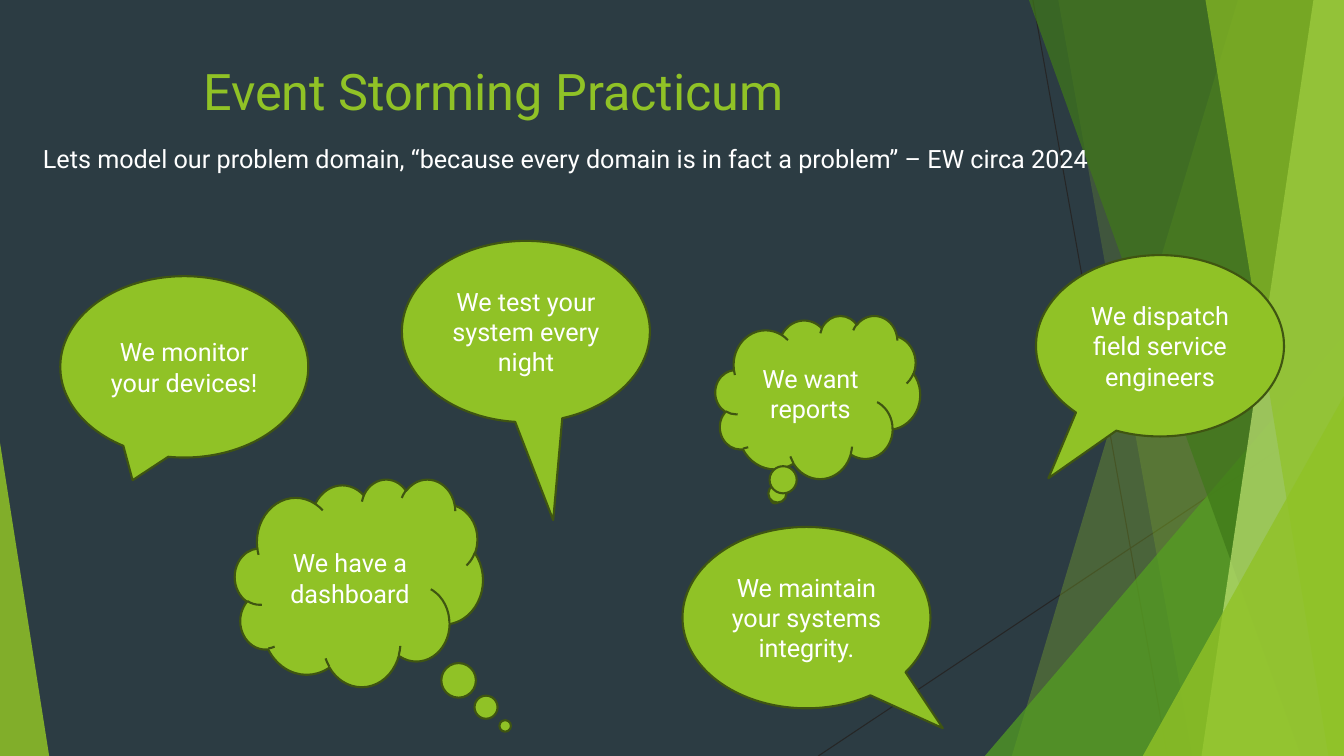
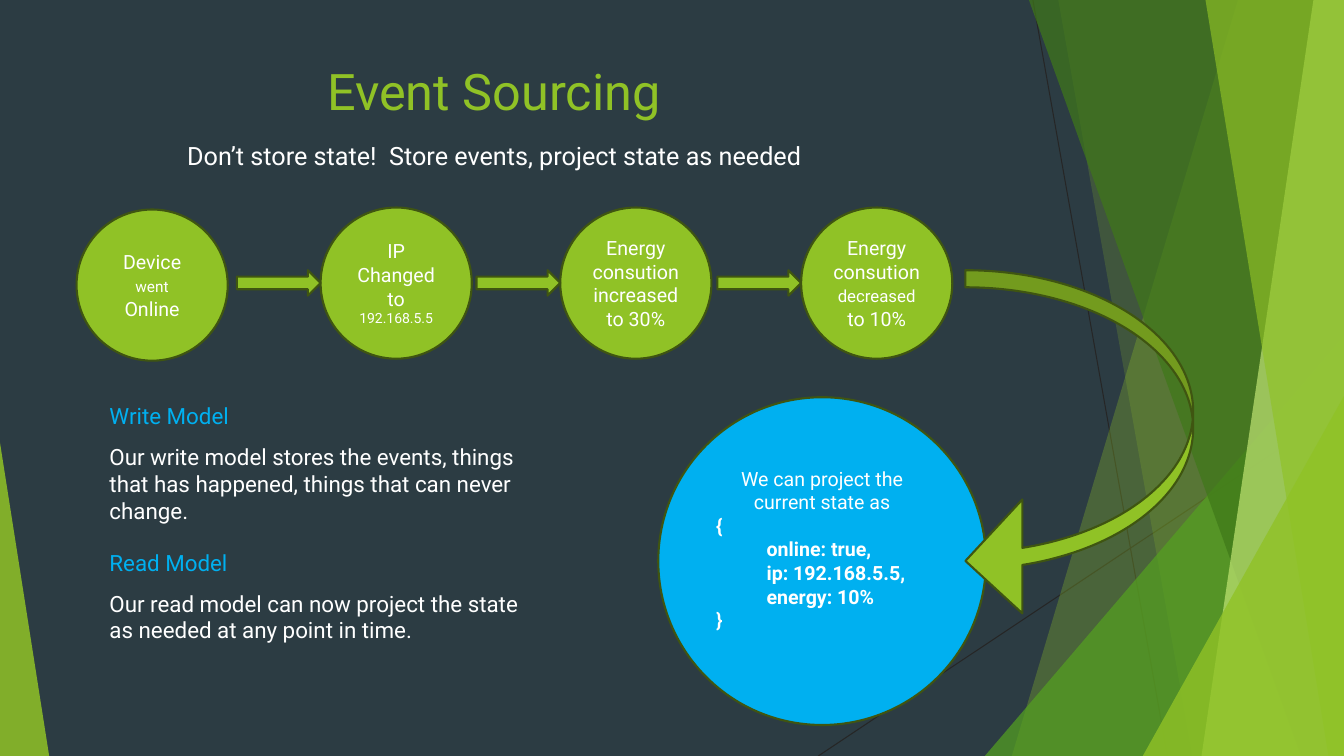
"""Build two slides on event storming and event sourcing."""
from dataclasses import dataclass

from lxml.etree import SubElement
from pptx import Presentation
from pptx.dml.color import RGBColor
from pptx.enum.shapes import MSO_CONNECTOR, MSO_SHAPE as Preset
from pptx.enum.text import MSO_ANCHOR as Anchor, PP_ALIGN as Align
from pptx.oxml.ns import qn
from pptx.util import Cm, Pt


@dataclass(frozen=True)
class Theme:
    """Colours, type sizes and line widths of the deck."""
    font: str = "Roboto"
    night: str = "2C3C43"
    ink: str = "262626"
    white: str = "FFFFFF"
    lime: str = "90C226"
    pale: str = "C0E474"
    leaf: str = "54A021"
    forest: str = "3F7819"
    edge: str = "3F5511"
    sky: str = "00B0F0"
    title: int = 36
    body: int = 18
    model: int = 16
    event: int = 14
    medium: int = 12
    small: int = 11
    tiny: int = 10
    outline: float = 1.5
    hairline: float = 0.75


THEME = Theme()
WIDTH, HEIGHT = 33.87, 19.05
TITLE_WIDTH = 24.89
BUBBLE = (6.25, 4.57)
CIRCLE = 3.81
ARROW = (2.11, 0.64)
STATE_CIRCLE = 8.26


@dataclass(frozen=True)
class Span:
    """A stretch of text in one style."""
    text: str
    size: int = THEME.body
    color: str = THEME.white
    bold: bool = False


@dataclass(frozen=True)
class Para:
    """A paragraph of spans with its layout."""
    spans: tuple
    align: Align = Align.CENTER
    before: float = 0
    indent: float = 0


def rgb(color):
    """Turn a hex string into a colour."""
    return RGBColor.from_string(color)


def write(box, paras, anchor=Anchor.MIDDLE):
    """Fill the text frame of a box, run by run."""
    frame = box.text_frame
    frame.word_wrap = True
    frame.vertical_anchor = anchor
    for index, content in enumerate(paras):
        para = frame.add_paragraph() if index else frame.paragraphs[0]
        para.alignment = content.align
        para.space_before = Pt(content.before)
        if content.indent:
            para._p.get_or_add_pPr().set("marL", str(Cm(content.indent)))
        for span in content.spans:
            run = para.add_run()
            run.text = span.text
            run.font.name = THEME.font
            run.font.size = Pt(span.size)
            run.font.bold = span.bold
            run.font.color.rgb = rgb(span.color)


def add_text(page, left, top, width, height, paras, anchor=Anchor.TOP):
    """Add a text box."""
    box = page.shapes.add_textbox(Cm(left), Cm(top), Cm(width), Cm(height))
    write(box, paras, anchor)


def add_figure(page, preset, left, top, width, height, paras=(),
               color=THEME.lime, adjust=()):
    """Add an outlined preset shape with optional text."""
    shape = page.shapes.add_shape(
        preset, Cm(left), Cm(top), Cm(width), Cm(height))
    shape.shadow.inherit = False
    shape.fill.solid()
    shape.fill.fore_color.rgb = rgb(color)
    shape.line.color.rgb = rgb(THEME.edge)
    shape.line.width = Pt(THEME.outline)
    for index, value in enumerate(adjust):
        shape.adjustments[index] = value
    write(shape, paras)
    return shape


def tint(shape, color, opacity):
    """Give a shape a see-through fill and no outline."""
    shape.shadow.inherit = False
    shape.line.fill.background()
    shape.fill.solid()
    shape.fill.fore_color.rgb = rgb(color)
    swatch = shape.element.spPr.find(qn("a:solidFill"))[0]
    SubElement(swatch, qn("a:alpha")).set("val", str(opacity * 1000))


def add_hairline(page, x1, y1, x2, y2):
    """Add a thin dark line."""
    line = page.shapes.add_connector(
        MSO_CONNECTOR.STRAIGHT, Cm(x1), Cm(y1), Cm(x2), Cm(y2))
    line.line.color.rgb = rgb(THEME.ink)
    line.line.width = Pt(THEME.hairline)
    SubElement(line.element.spPr, qn("a:effectLst"))


def add_band(page, top_x, bottom_x, color, opacity):
    """Add a full-height band with a slanted left side, out to the right edge."""
    builder = page.shapes.build_freeform(Cm(top_x), 0, scale=1.0)
    corners = [(WIDTH, 0), (WIDTH, HEIGHT), (bottom_x, HEIGHT)]
    builder.add_line_segments([(Cm(x), Cm(y)) for x, y in corners], close=True)
    tint(builder.convert_to_shape(), color, opacity)


def add_wedge(page, left, right, top, apex, color, opacity):
    """Add a right triangle that stands on the bottom edge."""
    shape = page.shapes.add_shape(
        Preset.ISOSCELES_TRIANGLE,
        Cm(left), Cm(top), Cm(right - left), Cm(HEIGHT - top))
    shape.adjustments[0] = apex
    tint(shape, color, opacity)


def add_backdrop(page):
    """Draw the background and facets that every slide shares."""
    page.background.fill.solid()
    page.background.fill.fore_color.rgb = rgb(THEME.night)
    add_hairline(page, 26.03, 0, 29.42, HEIGHT)
    add_hairline(page, WIDTH, 10.23, 20.62, HEIGHT)
    add_band(page, 31.2, 25.5, THEME.lime, 30)
    add_band(page, 26.67, 30.05, THEME.lime, 20)
    add_wedge(page, 24.82, WIDTH, 8.46, 1, THEME.leaf, 72)
    add_band(page, 25.93, 32.79, THEME.forest, 70)
    add_band(page, 33.1, 30.28, THEME.pale, 70)
    add_band(page, 30.38, 33.48, THEME.lime, 65)
    add_wedge(page, 28.8, WIDTH, 9.98, 1, THEME.lime, 80)
    add_wedge(page, 0, 1.24, 11.15, 0, THEME.lime, 85)


def add_page(deck, title):
    """Add a blank slide with the backdrop and a title."""
    page = deck.slides.add_slide(deck.slide_layouts[6])
    add_backdrop(page)
    heading = Para((Span(title, THEME.title, THEME.lime),))
    add_text(page, 0, 0, TITLE_WIDTH, 3.17, [heading], Anchor.BOTTOM)
    return page


def add_subtitle(page, left, top, width, text):
    """Add the centred line under the title."""
    add_text(page, left, top, width, 1.5, [Para((Span(text),), before=10)])


def add_practicum(deck):
    """Build the slide of speech and thought bubbles."""
    page = add_page(deck, "Event Storming Practicum")
    add_subtitle(page, 0, 3.48, 28.52,
                 "Lets model our problem domain, “because every domain "
                 "is in fact a problem” – EW circa 2024")
    cloud, speech = Preset.CLOUD_CALLOUT, Preset.OVAL_CALLOUT
    bubbles = [
        (cloud, 18.03, 7.95, (5.16, 4.11), (), "We want reports"),
        (speech, 1.52, 6.96, BUBBLE, (), "We monitor your devices!"),
        (speech, 17.2, 13.28, BUBBLE, (0.55, 0.61),
         "We maintain your systems integrity."),
        (speech, 26.11, 6.43, BUBBLE, (-0.45, 0.73),
         "We dispatch field service engineers"),
        (speech, 10.13, 6.07, BUBBLE, (0.11, 1.04),
         "We test your system every night"),
        (cloud, 5.92, 12.07, (6.25, 5.23), (0.59, 0.69),
         "We have a dashboard"),
    ]
    for preset, left, top, size, tail, text in bubbles:
        add_figure(page, preset, left, top, *size, [Para((Span(text),))],
                   adjust=tail)


def add_events(page):
    """Draw the chain of event circles joined by arrows."""
    size = THEME.event
    events = [
        (1.93, 5.33 - 0.05, [("Device ", size), ("went", THEME.small),
                             (" Online", size)]),
        (8.08, 5.23, [("IP Changed to ", size), ("192.168.5.5", THEME.tiny)]),
        (14.12, 5.23, [("Energy consution increased to 30%", size)]),
        (20.19, 5.23, [("Energy consution ", size),
                       ("decreased", THEME.medium), (" to 10%", size)]),
    ]
    for index, (left, top, parts) in enumerate(events):
        spans = tuple(Span(*part) for part in parts)
        add_figure(page, Preset.OVAL, left, top, CIRCLE, CIRCLE, [Para(spans)])
        if index:
            add_figure(page, Preset.RIGHT_ARROW, left - ARROW[0], 6.81, *ARROW)


def add_state(page):
    """Draw the projected state and the arrow that leads to it."""
    size = THEME.event
    code = [("{", 0), ("online: true,", 1.27), ("ip: 192.168.5.5,", 1.27),
            ("energy: 10%", 1.27), ("}", 0)]
    paras = [Para((Span("We can project the current state as", size),))]
    paras += [Para((Span(text, size, bold=True),), Align.LEFT, indent=indent)
              for text, indent in code]
    circle = add_figure(page, Preset.OVAL, 16.59, 10.01,
                        STATE_CIRCLE, STATE_CIRCLE, paras, THEME.sky)
    circle.text_frame.margin_bottom = Cm(0.73)
    add_figure(page, Preset.CURVED_LEFT_ARROW, 24.33, 6.81, 5.74, 8.76,
               adjust=(0.075, 0.5, 0.25))


def add_models(page):
    """Write the notes on the write and read models."""
    models = [
        ("Write Model", 10, "Our write model stores the events, things that "
         "has happened, things that can never change."),
        ("Read Model", 18, "Our read model can now project the state as "
         "needed at any point in time."),
    ]
    paras = []
    for name, gap, text in models:
        paras += [
            Para((Span(name, THEME.model, THEME.sky),), Align.LEFT, gap),
            Para((Span(text, THEME.model),), Align.LEFT, 10),
        ]
    add_text(page, 2.51, 10.01, 11.1, 7.9, paras)


def add_sourcing(deck):
    """Build the slide on events, models and projected state."""
    page = add_page(deck, "Event Sourcing")
    add_subtitle(page, 3.94, 3.4, 17.04,
                 "Don’t store state!  Store events, project state as needed")
    add_events(page)
    add_state(page)
    add_models(page)


def main():
    """Build and save the deck."""
    deck = Presentation()
    deck.slide_width, deck.slide_height = Cm(WIDTH), Cm(HEIGHT)
    add_practicum(deck)
    add_sourcing(deck)
    deck.save("out.pptx")


if __name__ == "__main__":
    main()
